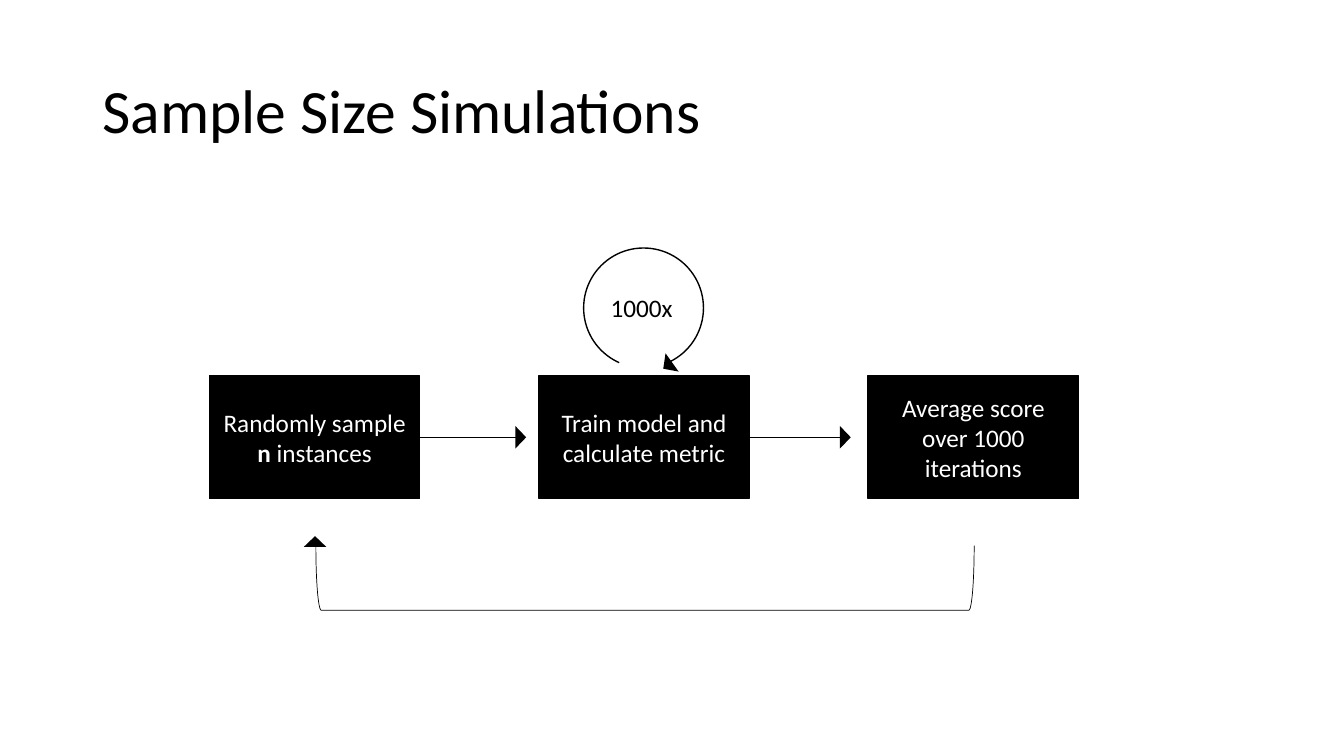
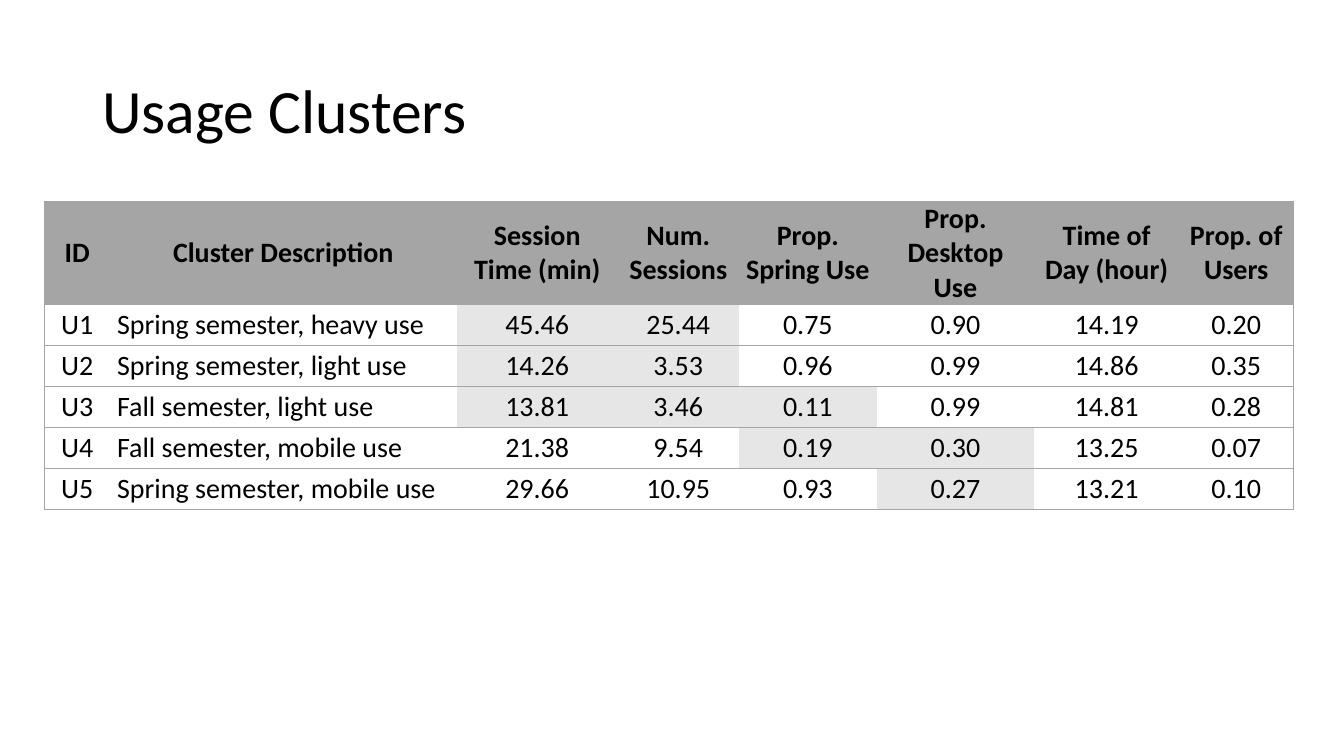
"""Build the sample size simulation and usage cluster slides."""
from dataclasses import dataclass

from lxml import etree
from pptx import Presentation
from pptx.dml.color import RGBColor
from pptx.enum.shapes import MSO_CONNECTOR, MSO_SHAPE
from pptx.enum.text import MSO_ANCHOR, PP_ALIGN
from pptx.oxml.ns import qn
from pptx.shapes.autoshape import Shape
from pptx.slide import Slide
from pptx.table import _Cell
from pptx.util import Cm, Pt

RECTANGLE, TRIANGLE = MSO_SHAPE.RECTANGLE, MSO_SHAPE.ISOSCELES_TRIANGLE
ARC, BRACKET = MSO_SHAPE.ARC, MSO_SHAPE.RIGHT_BRACKET
STRAIGHT = MSO_CONNECTOR.STRAIGHT
MIDDLE = MSO_ANCHOR.MIDDLE
LEFT, CENTER, JUSTIFY = PP_ALIGN.LEFT, PP_ALIGN.CENTER, PP_ALIGN.JUSTIFY

FONT = "Calibri"
BLACK, WHITE, GREY, PALE = "000000", "FFFFFF", "A5A5A5", "E7E6E6"
NO_GRID_STYLE = "{2D5ABB26-0587-4C30-8999-92F81FD0307C}"

BOX_LEFT, BOX_TOP, BOX_STEP = 5.28, 9.47, 8.3
BOX_WIDTH, BOX_HEIGHT = 5.3, 3.1
FLOW_MIDDLE = BOX_TOP + BOX_HEIGHT / 2
HEAD_WIDTH, HEAD_HEIGHT = 0.48, 0.23
COLUMN_WIDTHS = (1.65, 8.74, 4.06, 3.05, 3.48, 3.96, 3.66, 2.87)
HEADER_HEIGHT, ROW_HEIGHT = 2.6, 1.03
HEADINGS = ("ID", "Cluster Description", "Session Time (min)", "Num. Sessions",
            "Prop. Spring Use", "Prop. Desktop Use", "Time of Day (hour)",
            "Prop. of Users")


@dataclass(frozen=True)
class TextPart:
    """A piece of text with its weight."""
    text: str
    bold: bool = False


@dataclass(frozen=True)
class ArrowHead:
    """A triangle placed by its centre and turned clockwise."""
    x: float
    y: float
    rotation: float


@dataclass(frozen=True)
class Cluster:
    """A table row and the columns shaded in it."""
    values: tuple[str, ...]
    shaded: tuple[int, ...]


STEPS = (
    (TextPart("Randomly sample "), TextPart("n", True), TextPart(" instances")),
    (TextPart("Train model and calculate metric"),),
    (TextPart("Average score over 1000 iterations"),),
)
FLOW_ENDS = (13.12, 21.3)
ARROW_HEADS = (
    *(ArrowHead(end, FLOW_MIDDLE, 90) for end in FLOW_ENDS),
    ArrowHead(16.83, 9.21, 234.4),
    ArrowHead(7.94, 13.65, 0),
)
CLUSTERS = (
    Cluster(("U1", "Spring semester, heavy use", "45.46", "25.44", "0.75",
             "0.90", "14.19", "0.20"), (2, 3)),
    Cluster(("U2", "Spring semester, light use", "14.26", "3.53", "0.96",
             "0.99", "14.86", "0.35"), (2, 3)),
    Cluster(("U3", "Fall semester, light use", "13.81", "3.46", "0.11",
             "0.99", "14.81", "0.28"), (2, 3, 4)),
    Cluster(("U4", "Fall semester, mobile use", "21.38", "9.54", "0.19",
             "0.30", "13.25", "0.07"), (4, 5)),
    Cluster(("U5", "Spring semester, mobile use", "29.66", "10.95", "0.93",
             "0.27", "13.21", "0.10"), (5,)),
)


def color(value: str) -> RGBColor:
    """Turn a hex string into a colour."""
    return RGBColor.from_string(value)


def format_run(run, size: float, hex_color: str, bold: bool = False) -> None:
    """Apply the shared font to a run."""
    run.font.name = FONT
    run.font.size = Pt(size)
    run.font.bold = bold
    run.font.color.rgb = color(hex_color)


def add_text(slide: Slide, text: str, left: float, top: float, width: float,
             height: float, size: float) -> Shape:
    """Add a wrapped text box of one black paragraph."""
    shape = slide.shapes.add_textbox(Cm(left), Cm(top), Cm(width), Cm(height))
    shape.text_frame.word_wrap = True
    shape.text_frame.text = text
    paragraph = shape.text_frame.paragraphs[0]
    paragraph.alignment = LEFT
    format_run(paragraph.runs[0], size, BLACK)
    return shape


def add_titled_slide(presentation, title: str) -> Slide:
    """Add a blank slide with the shared title style."""
    slide = presentation.slides.add_slide(presentation.slide_layouts[6])
    shape = add_text(slide, title, 2.33, 1.01, 29.21, 3.68, 44)
    shape.text_frame.vertical_anchor = MIDDLE
    shape.text_frame.paragraphs[0].line_spacing = 0.9
    return slide


def add_figure(slide: Slide, kind, left: float, top: float, width: float,
               height: float, filled: bool = True, weight: float = 1) -> Shape:
    """Add a black preset shape, solid or in outline."""
    shape = slide.shapes.add_shape(kind, Cm(left), Cm(top), Cm(width), Cm(height))
    shape.shadow.inherit = False
    if filled:
        shape.fill.solid()
        shape.fill.fore_color.rgb = color(BLACK)
    else:
        shape.fill.background()
    shape.line.color.rgb = color(BLACK)
    shape.line.width = Pt(weight)
    return shape


def add_step(slide: Slide, left: float, parts: tuple[TextPart, ...]) -> None:
    """Add a process box with its text."""
    box = add_figure(slide, RECTANGLE, left, BOX_TOP, BOX_WIDTH, BOX_HEIGHT)
    box.text_frame.word_wrap = True
    box.text_frame.vertical_anchor = MIDDLE
    paragraph = box.text_frame.paragraphs[0]
    paragraph.alignment = CENTER
    for part in parts:
        run = paragraph.add_run()
        run.text = part.text
        format_run(run, 18, WHITE, part.bold)


def add_flow_line(slide: Slide, start: float, end: float) -> None:
    """Add a thin horizontal line between two boxes."""
    line = slide.shapes.add_connector(
        STRAIGHT, Cm(start), Cm(FLOW_MIDDLE), Cm(end), Cm(FLOW_MIDDLE))
    line.line.color.rgb = color(BLACK)
    line.line.width = Pt(0.5)
    etree.SubElement(line._element.spPr, qn("a:effectLst"))


def add_arrow_head(slide: Slide, head: ArrowHead) -> None:
    """Add a sharp-cornered triangle around its centre."""
    shape = add_figure(slide, TRIANGLE, head.x - HEAD_WIDTH / 2,
                       head.y - HEAD_HEIGHT / 2, HEAD_WIDTH, HEAD_HEIGHT)
    shape.rotation = head.rotation
    outline = shape._element.spPr.find(qn("a:ln"))
    etree.SubElement(outline, qn("a:miter"), lim="800000")


def add_border(cell: _Cell, side: str) -> None:
    """Draw one grey edge of a cell."""
    properties = cell._tc.get_or_add_tcPr()
    edge = etree.SubElement(properties, qn(f"a:ln{side}"), w=str(Pt(1)))
    fill = etree.SubElement(edge, qn("a:solidFill"))
    etree.SubElement(fill, qn("a:srgbClr"), val=GREY)


def fill_cell(cell: _Cell, text: str, fill: str, sides: str, alignment,
              bold: bool) -> None:
    """Write, border and shade a table cell."""
    for side in sides:
        add_border(cell, side)
    cell.fill.solid()
    cell.fill.fore_color.rgb = color(fill)
    cell.vertical_anchor = MIDDLE
    cell.margin_left = cell.margin_right = Cm(0.18)
    cell.margin_top = cell.margin_bottom = Cm(0)
    cell.text_frame.text = text
    paragraph = cell.text_frame.paragraphs[0]
    paragraph.alignment = alignment
    paragraph.space_after = Pt(4)
    format_run(paragraph.runs[0], 20, BLACK, bold)


def build_simulation_slide(presentation) -> None:
    """Draw the simulation loop."""
    slide = add_titled_slide(presentation, "Sample Size Simulations")
    for index, parts in enumerate(STEPS):
        add_step(slide, BOX_LEFT + index * BOX_STEP, parts)
    for index, end in enumerate(FLOW_ENDS):
        add_flow_line(slide, BOX_LEFT + index * BOX_STEP + BOX_WIDTH, end)
    loop = add_figure(slide, ARC, 14.71, 6.25, 3.02, 3.02, filled=False)
    for index, degrees in enumerate((114, 66)):
        loop.adjustments[index] = degrees * 0.6
    add_text(slide, "1000x", 15.14, 7.24, 2.18, 1.02, 18)
    bracket = add_figure(slide, BRACKET, 15.44, 6.27, 1.63, 16.59,
                         filled=False, weight=0.5)
    bracket.rotation = 90
    for head in ARROW_HEADS:
        add_arrow_head(slide, head)


def build_cluster_slide(presentation) -> None:
    """Draw the table of usage clusters."""
    slide = add_titled_slide(presentation, "Usage Clusters")
    height = HEADER_HEIGHT + ROW_HEIGHT * len(CLUSTERS)
    frame = slide.shapes.add_table(
        len(CLUSTERS) + 1, len(HEADINGS), Cm(1.12), Cm(5.08),
        Cm(sum(COLUMN_WIDTHS)), Cm(height))
    table = frame.table
    table.horz_banding = False
    table._tbl.tblPr.find(qn("a:tableStyleId")).text = NO_GRID_STYLE
    for column, width in zip(table.columns, COLUMN_WIDTHS):
        column.width = Cm(width)
    last = len(HEADINGS) - 1
    rows = (Cluster(HEADINGS, ()), *CLUSTERS)
    for row_index, row in enumerate(rows):
        header = row_index == 0
        table.rows[row_index].height = Cm(HEADER_HEIGHT if header else ROW_HEIGHT)
        for index, text in enumerate(row.values):
            plain = GREY if header else WHITE
            sides = {0: "LTB", last: "RTB"}.get(index, "TB")
            fill_cell(table.cell(row_index, index), text,
                      PALE if index in row.shaded else plain, sides,
                      JUSTIFY if index == 1 and not header else CENTER, header)


def main() -> None:
    """Build and save the presentation."""
    presentation = Presentation()
    presentation.slide_width, presentation.slide_height = Cm(33.87), Cm(19.05)
    build_simulation_slide(presentation)
    build_cluster_slide(presentation)
    presentation.save("out.pptx")


if __name__ == "__main__":
    main()
